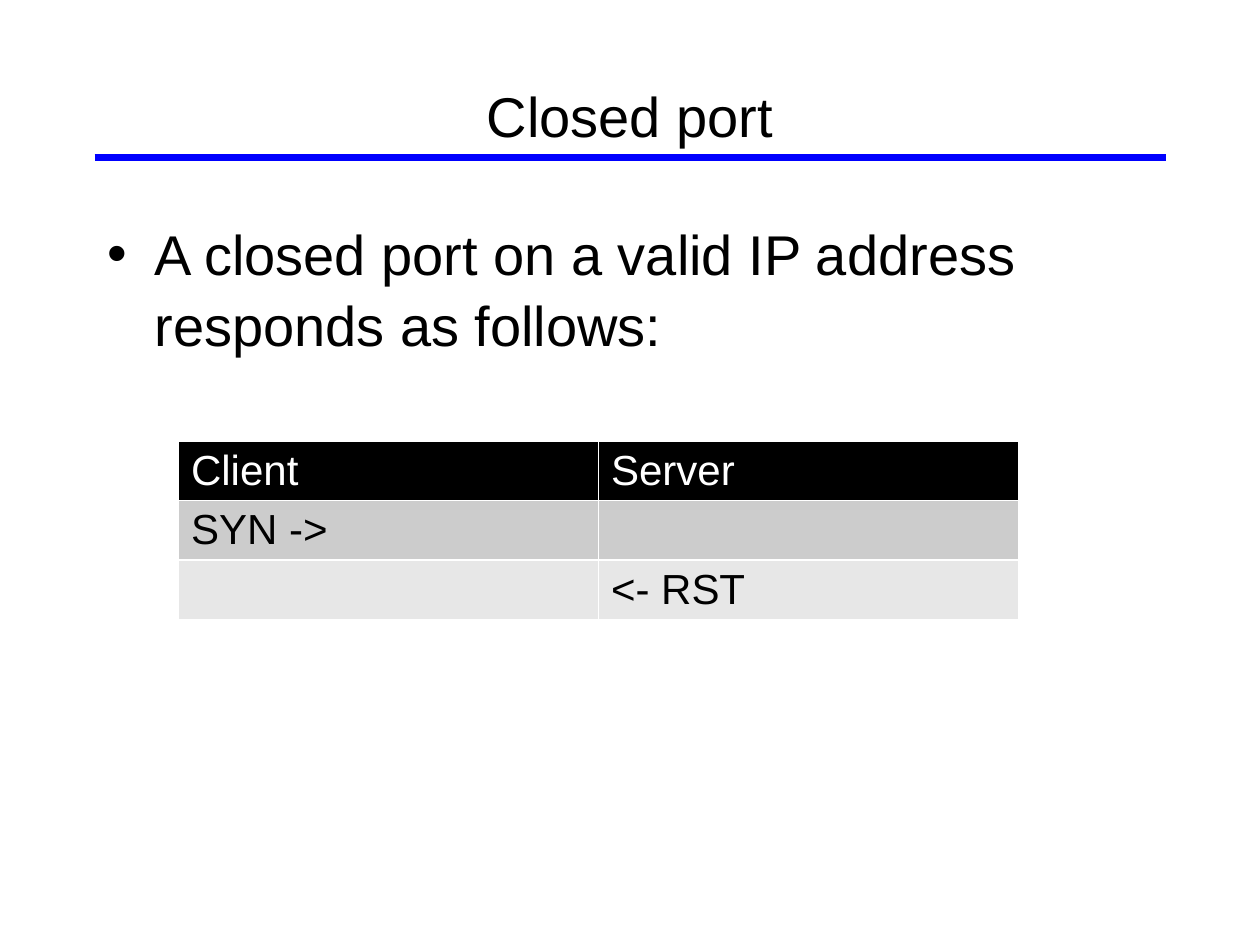
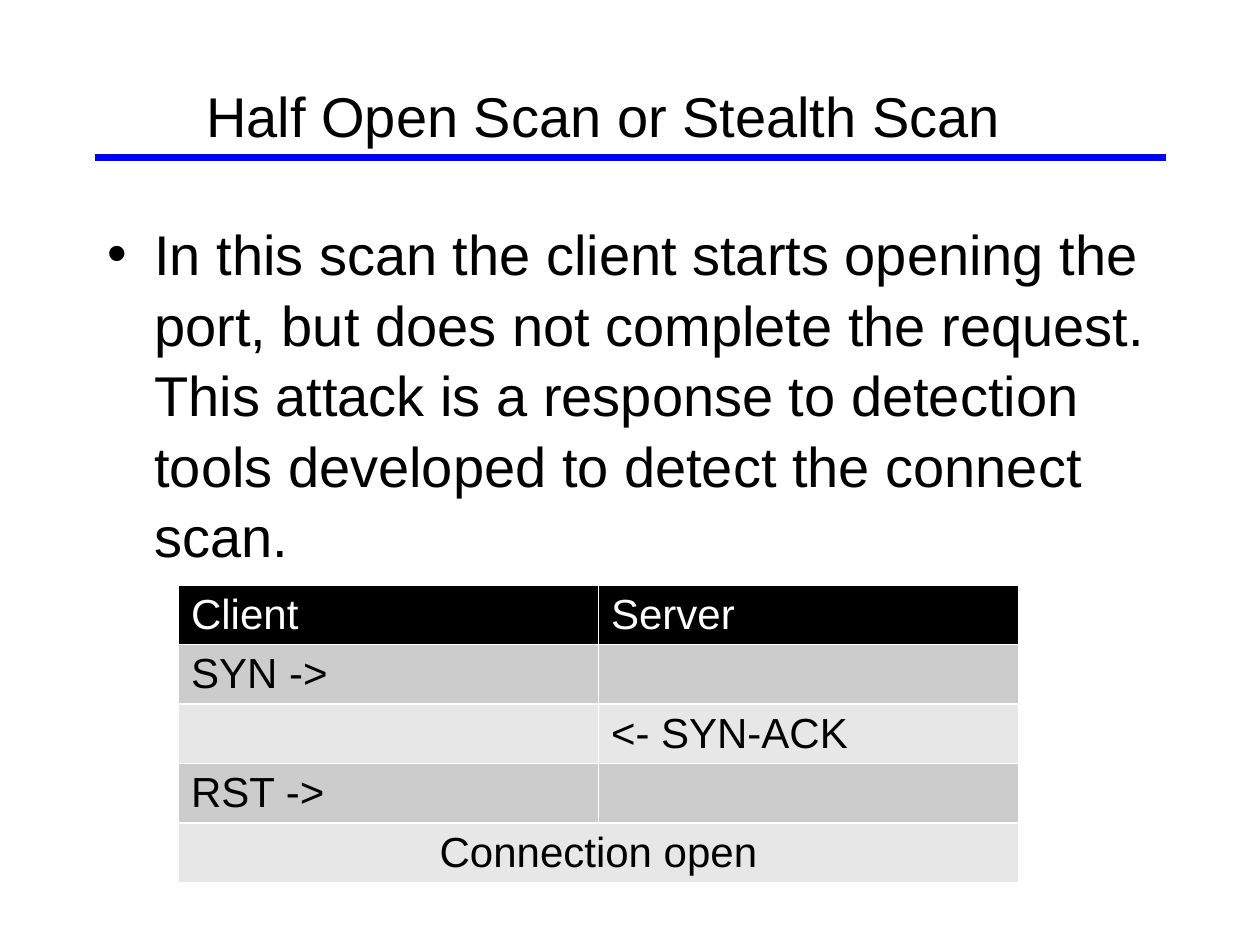
import pptx
import pptx.dml.color
import pptx.enum.shapes
import pptx.enum.text
import pptx.util
import lxml.etree

prs = pptx.Presentation()
prs.slide_width = pptx.util.Inches(10)
prs.slide_height = pptx.util.Inches(7.5)

# Shared look: a square grid of 120 columns and 90 rows
U = prs.slide_width / 120
LEFT, WIDTH = 9, 102
RULE_ROW = 15
TABLE_LEFT, TABLE_WIDTH, ROW_HEIGHT = 17, 80, 4.88
BLACK, WHITE, BLUE = "000000", "FFFFFF", "0000FF"
BANDS = ["E7E7E7", "CCCCCC"]
CENTER = pptx.enum.text.PP_ALIGN.CENTER


def rgb(color):
    return pptx.dml.color.RGBColor.from_string(color)


def write(tf, text, size=32, color=BLACK, align=None, spacing=None):
    p = tf.paragraphs[0]
    p.alignment = align
    p.line_spacing = spacing
    p.space_before = pptx.util.Pt(0)
    r = p.add_run()
    r.text = text
    r.font.name = "Arial"
    r.font.size = pptx.util.Pt(size)
    r.font.bold = False
    r.font.color.rgb = rgb(color)


# Title, title width, body, table top row, table rows
slides = [
    ("Closed port", WIDTH,
     "A closed port on a valid IP address responds as follows:", 42,
     [("Client", "Server"), ("SYN ->", ""), ("", "<- RST")]),
    ("Half Open Scan or Stealth Scan", 97,
     "In this scan the client starts opening the port, but does not complete "
     "the request. This attack is a response to detection tools developed to "
     "detect the connect scan.", 55.7,
     [("Client", "Server"), ("SYN ->", ""), ("", "<- SYN-ACK"),
      ("RST ->", ""), ("Connection open",)]),
]

for title, title_width, body, table_top, rows in slides:
    s = prs.slides.add_slide(prs.slide_layouts[1])

    # Blue rule under the title
    y = int(RULE_ROW * U)
    line = s.shapes.add_connector(
        pptx.enum.shapes.MSO_CONNECTOR.STRAIGHT,
        int(LEFT * U), y, int((LEFT + WIDTH) * U), y)
    line.line.color.rgb = rgb(BLUE)
    line.line.width = pptx.util.Pt(4.5)
    lxml.etree.SubElement(line._element.spPr,
                          pptx.oxml.ns.qn("a:effectLst"))

    # Title and bullet
    for sp, text, box, fmt in [
            (s.shapes.title, title, (LEFT, 8, title_width, 6),
             {"align": CENTER}),
            (s.placeholders[1], body, (LEFT, 20, WIDTH, 54),
             {"spacing": 1.05})]:
        sp.left, sp.top, sp.width, sp.height = [int(v * U) for v in box]
        tf = sp.text_frame
        tf.auto_size = pptx.enum.text.MSO_AUTO_SIZE.NONE
        write(tf, text, **fmt)

    # Handshake table
    table = s.shapes.add_table(
        len(rows), 2, int(TABLE_LEFT * U), int(table_top * U),
        int(TABLE_WIDTH * U), int(len(rows) * ROW_HEIGHT * U)).table
    for i, row in enumerate(rows):
        for cell in table.rows[i].cells:
            cell.fill.solid()
            cell.fill.fore_color.rgb = rgb(BANDS[i % 2] if i else BLACK)
        if len(row) == 1:
            table.cell(i, 0).merge(table.cell(i, 1))
        for j, text in enumerate(row):
            if text:
                write(table.cell(i, j).text_frame, text, size=24,
                      color=BLACK if i else WHITE,
                      align=CENTER if len(row) == 1 else None)

prs.save("out.pptx")
